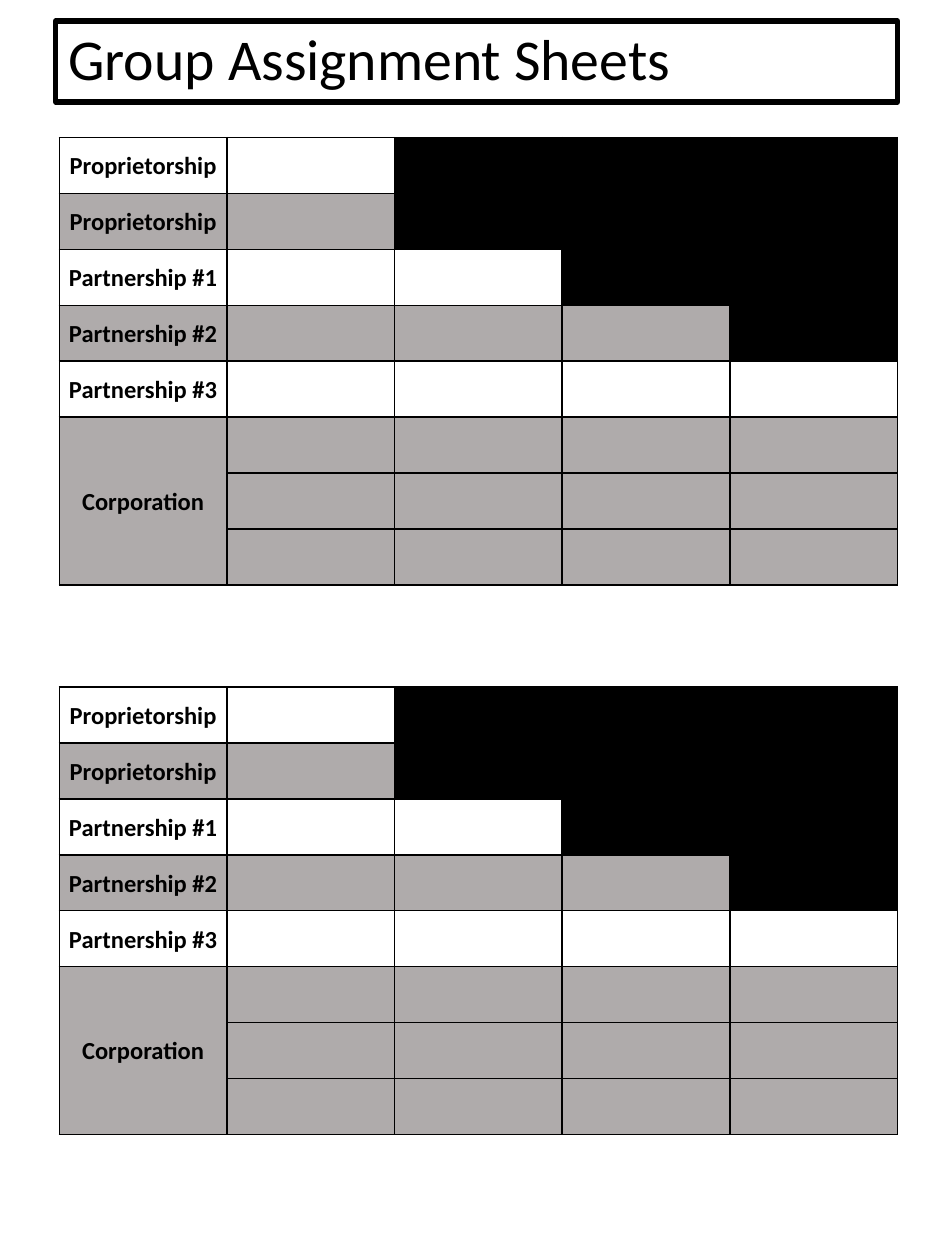
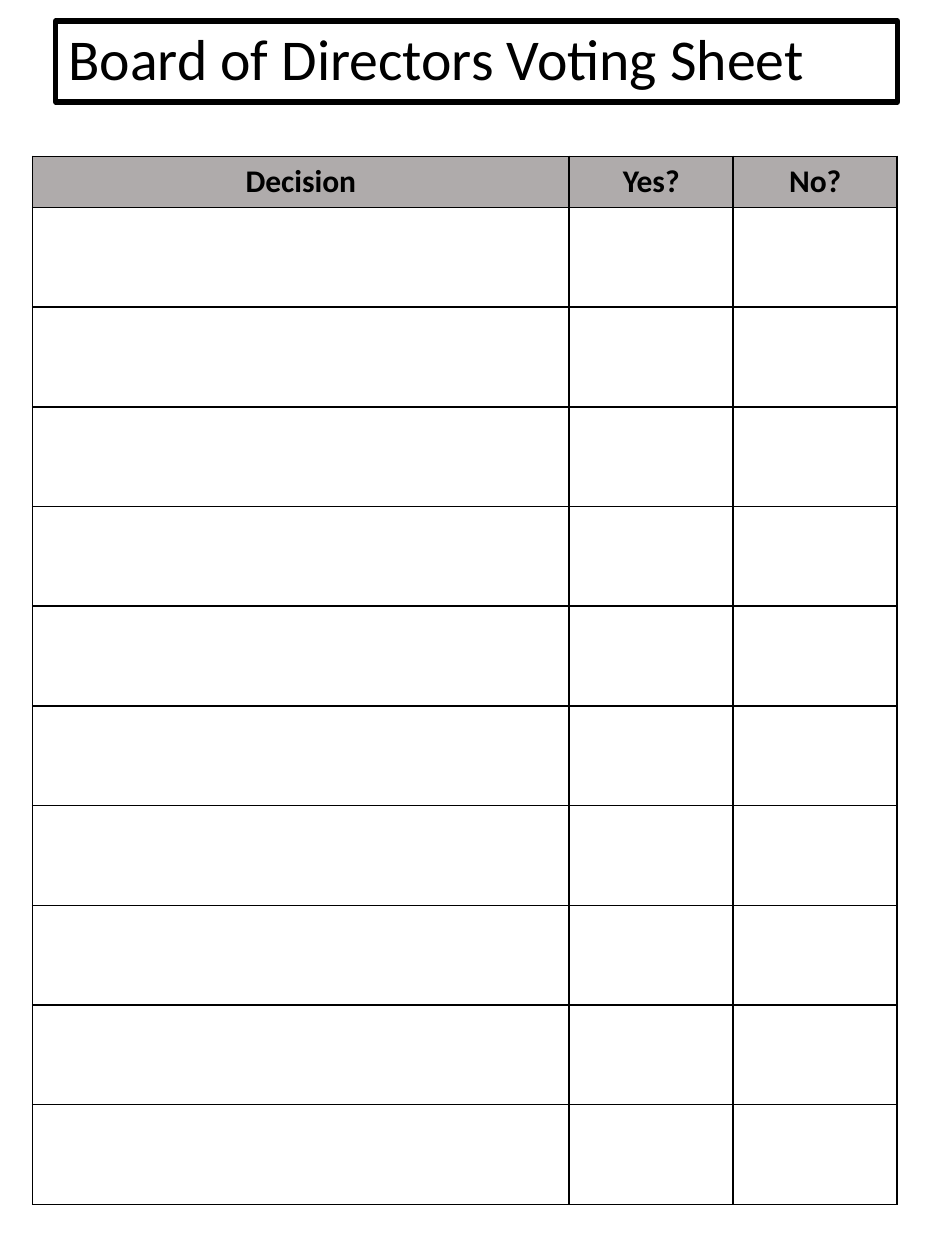
import pptx
import pptx.util
import pptx.dml.color
import pptx.enum.text
import pptx.oxml
import pptx.oxml.ns

Pt = pptx.util.Pt
ALIGN = pptx.enum.text.PP_ALIGN
ANCHOR = pptx.enum.text.MSO_ANCHOR

COLORS = {"ink": "000000", "gray": "AFABAB"}
FONT = "Calibri"

ASSIGNMENT_TITLE = "Group Assignment Sheets"
GROUPS = [
    ("Proprietorship", 1, 1),
    ("Proprietorship", 1, 1),
    ("Partnership #1", 2, 1),
    ("Partnership #2", 3, 1),
    ("Partnership #3", 4, 1),
    ("Corporation", 4, 3),
]
MEMBER_COLUMNS = 4
SHEET_TOPS = [78.6, 392.6]

VOTING_TITLE = "Board of Directors Voting Sheet"
VOTING_COLUMNS = [("Decision", 306.7), ("Yes?", 93.7), ("No?", 93.7)]
DECISION_ROWS = 10


def rgb(name):
    return pptx.dml.color.RGBColor.from_string(COLORS[name])


def write(frame, text, size, align, bold=False, spacing=None):
    para = frame.paragraphs[0]
    para.alignment = align
    para.line_spacing = spacing
    span = para.add_run()
    span.text = text
    span.font.name = FONT
    span.font.size = Pt(size)
    span.font.bold = bold
    span.font.color.rgb = rgb("ink")


def add_titled_page(deck, text):
    page = deck.slides.add_slide(deck.slide_layouts[5])
    title = page.shapes.title
    title.left, title.top, title.width, title.height = map(Pt, (31.9, 12, 481, 46.3))
    title.line.color.rgb = rgb("ink")
    title.line.width = Pt(3)
    frame = title.text_frame
    frame.word_wrap = True
    frame.auto_size = pptx.enum.text.MSO_AUTO_SIZE.NONE
    frame.vertical_anchor = ANCHOR.MIDDLE
    write(frame, text, 33, ALIGN.LEFT, spacing=0.9)
    return page


def style_cell(cell, fill):
    properties = cell._tc.get_or_add_tcPr()
    for side in "LRTB":
        properties.append(pptx.oxml.parse_xml(
            f'<a:ln{side} {pptx.oxml.ns.nsdecls("a")} w="{Pt(1)}">'
            f'<a:solidFill><a:srgbClr val="{COLORS["ink"]}"/></a:solidFill></a:ln{side}>'))
    if fill:
        cell.fill.solid()
        cell.fill.fore_color.rgb = rgb(fill)
    else:
        cell.fill.background()


def add_grid(page, left, top, widths, heights, fill_at):
    table = page.shapes.add_table(
        len(heights), len(widths), Pt(left), Pt(top), Pt(sum(widths)), Pt(sum(heights))).table
    table.first_row = table.horz_banding = False
    for column, width in zip(table.columns, widths):
        column.width = Pt(width)
    for row_index, height in enumerate(heights):
        table.rows[row_index].height = Pt(height)
        for column_index in range(len(widths)):
            style_cell(table.cell(row_index, column_index), fill_at(row_index, column_index))
    return table


def add_assignment_sheet(page, top):
    row_groups = [index for index, group in enumerate(GROUPS) for _ in range(group[2])]

    def fill_at(row, column):
        index = row_groups[row]
        if column > GROUPS[index][1]:
            return "ink"
        return "gray" if index % 2 else None

    table = add_grid(page, 33.9, top, [95.8] * (MEMBER_COLUMNS + 1),
                     [31.95] * len(row_groups), fill_at)
    row = 0
    for name, _, height in GROUPS:
        cell = table.cell(row, 0)
        if height > 1:
            cell.merge(table.cell(row + height - 1, 0))
        cell.margin_left = cell.margin_right = Pt(5)
        cell.margin_top = cell.margin_bottom = Pt(0)
        cell.vertical_anchor = ANCHOR.MIDDLE
        write(cell.text_frame, name, 14, ALIGN.CENTER, bold=True, spacing=1.07)
        row += height


def add_voting_sheet(page):
    table = add_grid(page, 18.6, 89.3, [width for _, width in VOTING_COLUMNS],
                     [29.1] + [57] * DECISION_ROWS,
                     lambda row, column: None if row else "gray")
    for column, (heading, _) in enumerate(VOTING_COLUMNS):
        write(table.cell(0, column).text_frame, heading, 18, ALIGN.CENTER, bold=True)


def main():
    deck = pptx.Presentation()
    deck.slide_width, deck.slide_height = Pt(540), Pt(720)
    page = add_titled_page(deck, ASSIGNMENT_TITLE)
    for top in SHEET_TOPS:
        add_assignment_sheet(page, top)
    add_voting_sheet(add_titled_page(deck, VOTING_TITLE))
    deck.save("out.pptx")


if __name__ == "__main__":
    main()
